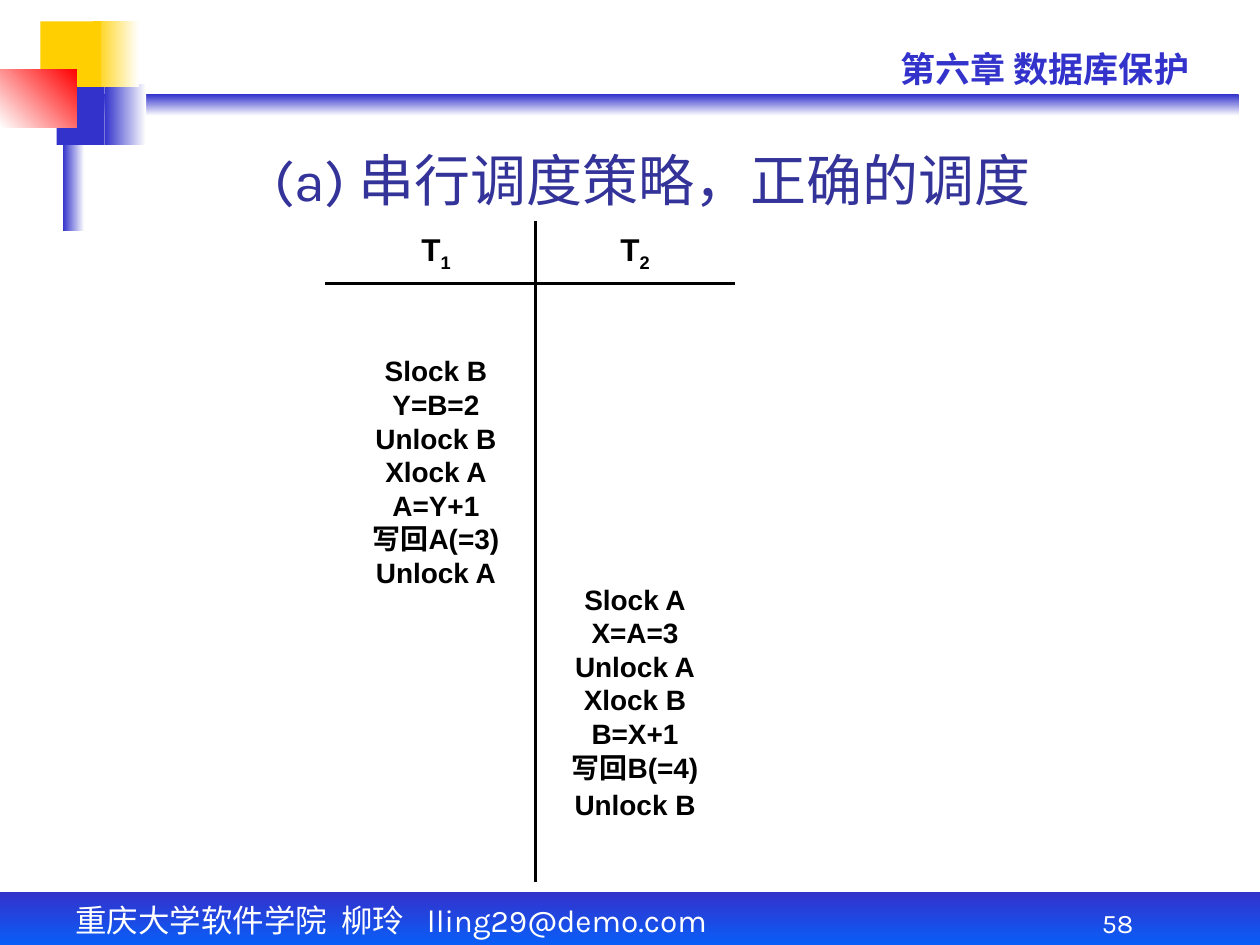
from lxml.etree import SubElement
from pptx import Presentation
from pptx.dml.color import RGBColor
from pptx.enum.shapes import MSO_CONNECTOR, MSO_SHAPE
from pptx.enum.text import MSO_ANCHOR, PP_ALIGN
from pptx.oxml.ns import qn
from pptx.util import Inches, Pt

BLUE = RGBColor(0x33, 0x33, 0xCC)
BRIGHT_BLUE = RGBColor(0x00, 0x66, 0xFF)
TITLE_BLUE = RGBColor(0x33, 0x33, 0x99)
YELLOW = RGBColor(0xFF, 0xCF, 0x01)
RED = RGBColor(0xFF, 0x00, 0x00)
WHITE = RGBColor(0xFF, 0xFF, 0xFF)
BLACK = RGBColor(0x00, 0x00, 0x00)

# Left, top, width, height, colours (one is solid, two a gradient), angle
DECORATIONS = [
    (0.58, 0.75, 9.25, 0.17, (BLUE, WHITE), 270),
    (0.83, 0.67, 0.33, 0.48, (BLUE, WHITE), 0),
    (0, 7.08, 10, 0.5, (BLUE, BRIGHT_BLUE), 270),
    (0.5, 0.58, 0.17, 1.25, (BLUE, WHITE), 0),
    (0.45, 0.67, 0.38, 0.48, (BLUE,), 0),
    (0.74, 0.17, 0.36, 0.52, (YELLOW, WHITE), 0),
    (0.32, 0.17, 0.48, 0.52, (YELLOW,), 0),
    (0, 0.55, 0.61, 0.46, (WHITE, RED), 45),
]

# Name, left, top of steps, gap above the first step, steps
TRANSACTIONS = [
    ("1", 2.67, 2.33, 0.48,
     ["Slock B", "Y=B=2", "Unlock B", "Xlock A", "A=Y+1", "写回A(=3)", "Unlock A"]),
    ("2", 4.25, 2.25, 2.37,
     ["Slock A", "X=A=3", "Unlock A", "Xlock B", "B=X+1", "写回B(=4)", "Unlock B"]),
]
COLUMN_WIDTH = 1.58
TABLE_BOTTOM = 7


class SlideBuilder:
    heading_font = "Karla"
    body_font = "Arial"

    def __init__(self, slide):
        self.slide = slide

    def rectangle(self, left, top, width, height, colors, angle):
        shape = self.slide.shapes.add_shape(
            MSO_SHAPE.RECTANGLE, Inches(left), Inches(top), Inches(width), Inches(height))
        shape.shadow.inherit = False
        shape.line.fill.background()
        if len(colors) == 1:
            shape.fill.solid()
            shape.fill.fore_color.rgb = colors[0]
            return
        shape.fill.gradient()
        shape.fill.gradient_angle = angle
        for stop, color, position in zip(shape.fill.gradient_stops, colors, (0, 1)):
            stop.color.rgb = color
            stop.position = position

    def line(self, start_x, start_y, end_x, end_y):
        connector = self.slide.shapes.add_connector(
            MSO_CONNECTOR.STRAIGHT, Inches(start_x), Inches(start_y),
            Inches(end_x), Inches(end_y))
        connector.line.color.rgb = BLACK
        connector.line.width = Pt(2.25)
        SubElement(connector._element.spPr, qn("a:effectLst"))

    def text(self, left, top, width, height, lines, size, color, font=heading_font,
             bold=False, align=PP_ALIGN.LEFT, tabs=(), **frame_format):
        """Add a text box with one paragraph a line and return its paragraphs."""
        box = self.slide.shapes.add_textbox(
            Inches(left), Inches(top), Inches(width), Inches(height))
        frame = box.text_frame
        for name, value in {"word_wrap": True, **frame_format}.items():
            setattr(frame, name, value)
        frame.text = "\n".join(lines)
        font_format = {"name": font, "size": Pt(size), "bold": bold}
        for paragraph in frame.paragraphs:
            paragraph.alignment = align
            if tabs:
                tab_list = SubElement(paragraph._p.get_or_add_pPr(), qn("a:tabLst"))
                for position in tabs:
                    SubElement(tab_list, qn("a:tab"), pos=str(Inches(position)), algn="l")
            for name, value in font_format.items():
                setattr(paragraph.font, name, value)
            paragraph.font.color.rgb = color
        return frame.paragraphs

    def transaction(self, name, left, top, gap, steps):
        column_format = {"color": BLACK, "font": self.body_font, "bold": True,
                         "align": PP_ALIGN.CENTER, "word_wrap": False}
        heading = self.text(left, 1.75, COLUMN_WIDTH, 0.5, ["T"], 18,
                            vertical_anchor=MSO_ANCHOR.MIDDLE, **column_format)[0]
        subscript = heading.add_run()
        subscript.text = name
        subscript.font._element.set("baseline", "-25000")
        return self.text(left, top, COLUMN_WIDTH, TABLE_BOTTOM - top, steps, 16,
                         vertical_anchor=MSO_ANCHOR.TOP, margin_top=Inches(gap),
                         **column_format)


def main():
    presentation = Presentation()
    presentation.slide_width = Inches(10)
    presentation.slide_height = Inches(7.5)
    builder = SlideBuilder(presentation.slides.add_slide(presentation.slide_layouts[6]))

    for decoration in DECORATIONS:
        builder.rectangle(*decoration)

    builder.text(0.5, 7.1, 5.58, 0.4, ["重庆大学软件学院\t柳玲\tlling29@demo.com"],
                 18, WHITE, tabs=(2.11, 2.79))
    builder.text(7.05, 0.33, 2.79, 0.44, ["第六章 数据库保护"], 20, BLUE, bold=True)
    builder.text(8.08, 7.08, 1.58, 0.42, ["58"], 15.3, WHITE, align=PP_ALIGN.CENTER,
                 vertical_anchor=MSO_ANCHOR.BOTTOM)
    builder.text(1.22, 1.07, 7.92, 0.67, ["(a) 串行调度策略，正确的调度"], 32, TITLE_BLUE,
                 align=PP_ALIGN.CENTER, vertical_anchor=MSO_ANCHOR.BOTTOM)

    builder.line(2.58, 2.25, 5.83, 2.25)
    builder.line(4.25, 1.75, 4.25, TABLE_BOTTOM)
    for transaction in TRANSACTIONS:
        paragraphs = builder.transaction(*transaction)
    paragraphs[-1].space_before = Pt(2)

    presentation.save("out.pptx")


if __name__ == "__main__":
    main()
